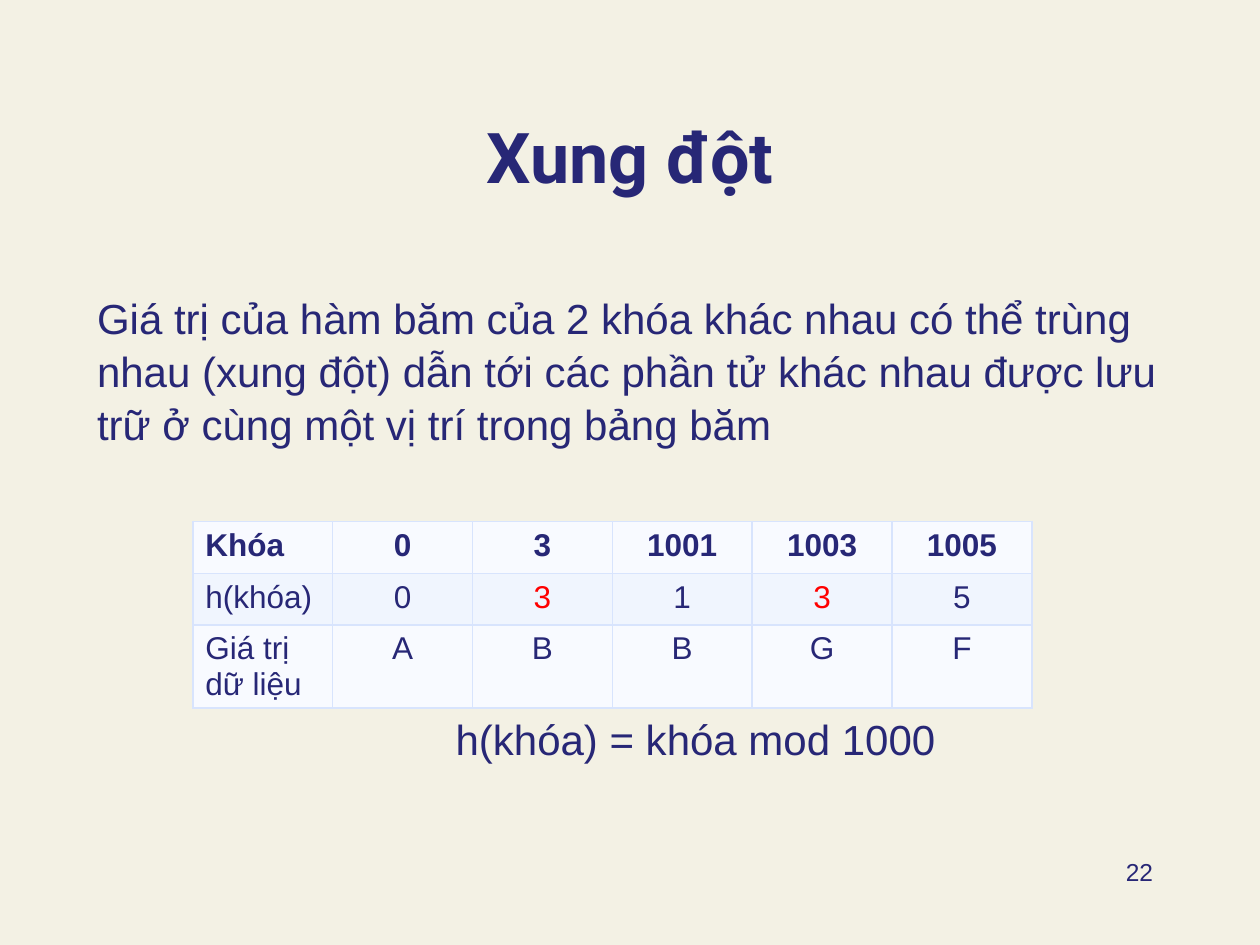
"""Build a slide on hash collisions with a key table."""
from dataclasses import dataclass

from lxml import etree
from pptx import Presentation
from pptx.dml.color import RGBColor
from pptx.enum.text import MSO_ANCHOR, MSO_AUTO_SIZE, PP_ALIGN
from pptx.oxml.ns import qn
from pptx.util import Inches, Pt

LEFT, CENTER, RIGHT = PP_ALIGN.LEFT, PP_ALIGN.CENTER, PP_ALIGN.RIGHT
TOP, BOTTOM = MSO_ANCHOR.TOP, MSO_ANCHOR.BOTTOM
NO_FIT = MSO_AUTO_SIZE.NONE
NAVY, RED, BORDER, CREAM = "272776", "FF0000", "D8E4FD", "F3F1E4"
ROW_FILLS = ("F8FAFF", "F0F5FE")
BORDER_TAGS = ("a:lnL", "a:lnR", "a:lnT", "a:lnB")
TABLE_LEFT, TABLE_TOP, COLUMN_WIDTH = 1.53, 4.14, 1.11
ROW_HEIGHTS = (0.41, 0.41, 0.66)
KEY_ROWS = (
    ("Khóa", "0", "3", "1001", "1003", "1005"),
    ("h(khóa)", "0", "3", "1", "3", "5"),
    ("Giá trị dữ liệu", "A", "B", "B", "G", "F"),
)
HASH_ROW, COLLIDING_HASH = 1, "3"


@dataclass(frozen=True)
class TextStyle:
    """Character and paragraph format of one text."""
    size: float
    alignment: PP_ALIGN = LEFT
    bold: bool = False
    font: str = "Arial"
    color: str = NAVY
    line_spacing: float = 1.0


@dataclass(frozen=True)
class TextBlock:
    """Text with its box and style."""
    text: str
    box: tuple[float, float, float, float]
    style: TextStyle
    anchor: MSO_ANCHOR = TOP


TITLE = TextBlock("Xung đột", (0.75, 0.54, 8.5, 1.08),
                  TextStyle(40, CENTER, True, "Roboto"), BOTTOM)
EXPLANATION = TextBlock(
    "Giá trị của hàm băm của 2 khóa khác nhau có thể trùng nhau (xung đột) "
    "dẫn tới các phần tử khác nhau được lưu trữ ở cùng một vị trí trong bảng băm",
    (0.67, 2.25, 8.66, 1.72), TextStyle(24, line_spacing=1.05))
CAPTIONS = (
    TextBlock("h(khóa) = khóa mod 1000", (2.95, 5.59, 5.14, 0.51),
              TextStyle(24, CENTER, line_spacing=1.05)),
    TextBlock("22", (7.17, 6.75, 2.08, 0.5), TextStyle(14, RIGHT)),
)


def rgb(color: str) -> RGBColor:
    """Turn a hex string into a colour."""
    return RGBColor.from_string(color)


def set_attributes(target, values: dict) -> None:
    """Set each named attribute on the target."""
    for name, value in values.items():
        setattr(target, name, value)


def write_text(text_frame, text: str, style: TextStyle) -> None:
    """Write one styled paragraph."""
    paragraph = text_frame.paragraphs[0]
    set_attributes(paragraph, {
        "alignment": style.alignment, "line_spacing": style.line_spacing,
        "space_before": Pt(0), "space_after": Pt(0)})
    run = paragraph.add_run()
    run.text = text
    set_attributes(run.font, {
        "name": style.font, "size": Pt(style.size), "bold": style.bold})
    run.font.color.rgb = rgb(style.color)


def fill_shape(shape, block: TextBlock) -> None:
    """Place a text shape and write its text."""
    names = ("left", "top", "width", "height")
    set_attributes(shape, dict(zip(names, map(Inches, block.box))))
    set_attributes(shape.text_frame, {
        "word_wrap": True, "auto_size": NO_FIT, "vertical_anchor": block.anchor})
    write_text(shape.text_frame, block.text, block.style)


def remove_bullet(paragraph) -> None:
    """Take the bullet and hanging indent off a paragraph."""
    properties = paragraph._p.get_or_add_pPr()
    properties.set("marL", "0")
    properties.set("indent", "0")
    etree.SubElement(properties, qn("a:buNone"))


def add_borders(cell) -> None:
    """Draw a thin line on all four sides of a cell."""
    properties = cell._tc.get_or_add_tcPr()
    for position, tag in enumerate(BORDER_TAGS):
        line = etree.Element(qn(tag), w=str(Pt(1)))
        solid = etree.SubElement(line, qn("a:solidFill"))
        etree.SubElement(solid, qn("a:srgbClr"), val=BORDER)
        properties.insert(position, line)


def add_key_table(slide) -> None:
    """Add the table of keys, hashes and values."""
    column_count = len(KEY_ROWS[0])
    table = slide.shapes.add_table(
        len(KEY_ROWS), column_count, Inches(TABLE_LEFT), Inches(TABLE_TOP),
        Inches(COLUMN_WIDTH * column_count), Inches(sum(ROW_HEIGHTS))).table
    for column in table.columns:
        column.width = Inches(COLUMN_WIDTH)
    for row_index, texts in enumerate(KEY_ROWS):
        table.rows[row_index].height = Inches(ROW_HEIGHTS[row_index])
        for column_index, text in enumerate(texts):
            cell = table.cell(row_index, column_index)
            cell.fill.solid()
            cell.fill.fore_color.rgb = rgb(ROW_FILLS[row_index % 2])
            add_borders(cell)
            collides = row_index == HASH_ROW and text == COLLIDING_HASH
            write_text(cell.text_frame, text, TextStyle(
                18, CENTER if column_index else LEFT, bold=row_index == 0,
                color=RED if collides else NAVY))


def main() -> None:
    """Create and save the presentation."""
    presentation = Presentation()
    set_attributes(presentation, {
        "slide_width": Inches(10), "slide_height": Inches(7.5)})
    slide = presentation.slides.add_slide(presentation.slide_layouts[1])
    slide.background.fill.solid()
    slide.background.fill.fore_color.rgb = rgb(CREAM)
    fill_shape(slide.shapes.title, TITLE)
    body = slide.placeholders[1]
    fill_shape(body, EXPLANATION)
    remove_bullet(body.text_frame.paragraphs[0])
    add_key_table(slide)
    for caption in CAPTIONS:
        fill_shape(slide.shapes.add_textbox(*map(Inches, caption.box)), caption)
    presentation.save("out.pptx")


if __name__ == "__main__":
    main()
